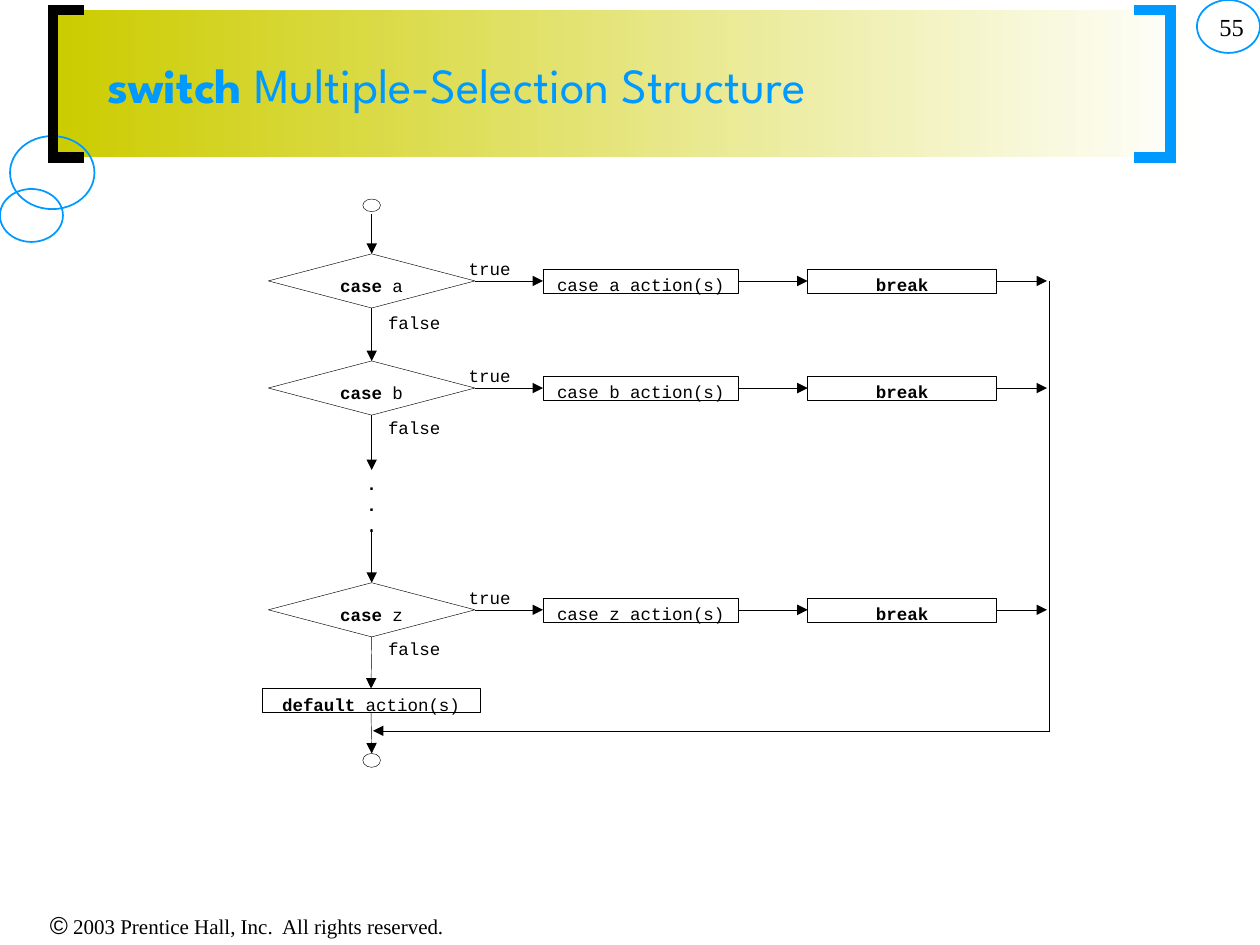
"""Build a slide with the flowchart of the switch multiple-selection structure."""
import pptx
import pptx.dml.color
import pptx.enum.shapes
import pptx.enum.text
import pptx.oxml.ns
import pptx.util
from lxml import etree

Inches = pptx.util.Inches
MSO = pptx.enum.shapes.MSO_SHAPE
ALIGN = pptx.enum.text.PP_ALIGN
ANCHOR = pptx.enum.text.MSO_ANCHOR
BLACK = pptx.dml.color.RGBColor(0x00, 0x00, 0x00)
WHITE = pptx.dml.color.RGBColor(0xFF, 0xFF, 0xFF)
BLUE = pptx.dml.color.RGBColor(0x00, 0x99, 0xFF)
OLIVE = pptx.dml.color.RGBColor(0xCC, 0xCC, 0x00)

TOP, LEFT, BOTTOM, RIGHT = range(4)
AXIS, RAIL = 2.95, 8.33
CODE = {"name": "Courier New", "size": pptx.util.Pt(10), "bold": False}
BOLD = {**CODE, "bold": True}
TITLE = {"name": "League Spartan", "size": pptx.util.Pt(28), "bold": False}
SERIF = {"name": "Times New Roman", "size": pptx.util.Pt(12)}
CASES = [("a", 2.23, 2.48), ("b", 3.08, 3.31), ("z", 4.84, 5.06)]


def add_child(parent, tag, **attrs):
    """Append a drawing element to a parent element."""
    return etree.SubElement(parent, pptx.oxml.ns.qn(tag), attrs)


def write(tf, runs, align=ALIGN.LEFT, color=BLACK, new=False):
    """Write one paragraph of formatted runs."""
    p = tf.add_paragraph() if new else tf.paragraphs[0]
    p.alignment = align
    for text, font in runs:
        r = p.add_run()
        r.text = text
        for name, value in font.items():
            setattr(r.font, name, value)
        r.font.color.rgb = color


def set_frame(tf, anchor=ANCHOR.TOP, **margins):
    """Set wrapping, anchor and margins of a text frame."""
    tf.word_wrap = True
    tf.auto_size = pptx.enum.text.MSO_AUTO_SIZE.NONE
    tf.vertical_anchor = anchor
    for side, value in margins.items():
        setattr(tf, f"margin_{side}", Inches(value))


def set_line(shape, color, width):
    """Set the outline colour and width."""
    shape.line.color.rgb = color
    shape.line.width = pptx.util.Pt(width)


def add_text(s, box, runs, align=ALIGN.LEFT, margin=0.0):
    """Add a text box and return its frame."""
    tf = s.shapes.add_textbox(*map(Inches, box)).text_frame
    set_frame(tf, left=margin, right=margin, top=margin / 2, bottom=margin / 2)
    write(tf, runs, align)
    return tf


def add_ellipse(s, box, color, width):
    """Add an unfilled ellipse."""
    sp = s.shapes.add_shape(MSO.OVAL, *map(Inches, box))
    sp.shadow.inherit = False
    sp.fill.background()
    set_line(sp, color, width)
    return sp


def add_bracket(s, tip, spine, color):
    """Add a thick square bracket beside the title band."""
    points = [(spine, 0.08), (spine, 1.25), (tip, 1.25)]
    builder = s.shapes.build_freeform(Inches(tip), Inches(0.08), 1.0)
    builder.add_line_segments([tuple(map(Inches, pt)) for pt in points], close=False)
    sp = builder.convert_to_shape()
    sp.shadow.inherit = False
    sp.fill.background()
    set_line(sp, color, 6)
    add_child(sp.element.xpath(".//a:ln")[0], "a:miter", lim="800000")


def add_node(s, kind, left, mid, width, height, runs, inset):
    """Add a flowchart node centred on a height."""
    box = (left, mid - height / 2, width, height)
    sp = s.shapes.add_shape(kind, *map(Inches, box))
    sp.shadow.inherit = False
    sp.fill.solid()
    sp.fill.fore_color.rgb = WHITE
    set_line(sp, BLACK, 0.25)
    set_frame(sp.text_frame, left=0, right=0, top=inset, bottom=0)
    write(sp.text_frame, runs, ALIGN.CENTER)
    return sp


def add_action(s, left, mid, width, runs):
    """Add an action rectangle."""
    return add_node(s, MSO.RECTANGLE, left, mid, width, 0.19, runs, 0.04)


def add_arrow(s, start, end, glue_start=None, glue_end=None, head=True):
    """Add a straight line, joined to nodes where they are given."""
    kind = pptx.enum.shapes.MSO_CONNECTOR.STRAIGHT
    c = s.shapes.add_connector(kind, *map(Inches, (*start, *end)))
    if glue_start:
        c.begin_connect(*glue_start)
    if glue_end:
        c.end_connect(*glue_end)
    set_line(c, BLACK, 0.25)
    if head:
        add_child(c.element.xpath(".//a:ln")[0], "a:tailEnd", type="triangle")
    add_child(c.element.spPr, "a:effectLst")


def add_header(s):
    """Add the title band, brackets, rings and title."""
    band = s.shapes.add_shape(MSO.RECTANGLE, *map(Inches, (0.42, 0.08, 9.12, 1.17)))
    band.shadow.inherit = False
    band.line.fill.background()
    band.fill.gradient()
    band.fill.gradient_angle = 180
    for stop, color in zip(band.fill.gradient_stops, (WHITE, OLIVE)):
        stop.color.rgb = color
    for box in [(0.08, 1.08, 0.67, 0.58), (0, 1.5, 0.5, 0.42), (9.5, 0, 0.5, 0.42)]:
        add_ellipse(s, box, BLUE, 1)
    add_bracket(s, 0.67, 0.42, BLACK)
    add_bracket(s, 9, 9.29, BLUE)
    title = s.shapes.title
    title.left, title.top, title.width, title.height = map(Inches, (0.75, 0.08, 8.5, 1.17))
    set_frame(title.text_frame, ANCHOR.MIDDLE)
    runs = [("switch", {**TITLE, "bold": True}), (" Multiple-Selection Structure", TITLE)]
    write(title.text_frame, runs, color=BLUE)
    title.element.getparent().append(title.element)


def add_case(s, letter, mid, false_top):
    """Add one case row and return its diamond."""
    test = add_node(s, MSO.DIAMOND, 2.13, mid, 1.64, 0.43,
                    [("case", BOLD), (f" {letter}", CODE)], 0.06)
    action = add_action(s, 4.31, mid, 1.55, [(f"case {letter} action(s)", CODE)])
    leave = add_action(s, 6.41, mid, 1.5, [("break", BOLD)])
    add_arrow(s, (3.77, mid), (4.31, mid), (test, RIGHT), (action, LEFT))
    add_arrow(s, (5.86, mid), (6.41, mid), (action, RIGHT), (leave, LEFT))
    add_arrow(s, (7.91, mid), (RAIL - 0.02, mid), (leave, RIGHT))
    add_text(s, (3.72, mid - 0.18, 0.48, 0.21), [("true", CODE)])
    add_text(s, (3.08, false_top, 0.59, 0.21), [("false", CODE)])
    return test


def add_flowchart(s):
    """Add the case rows, the default action and the lines between them."""
    add_ellipse(s, (2.88, 1.58, 0.14, 0.1), BLACK, 0.25)
    finish = add_ellipse(s, (2.88, 5.98, 0.14, 0.11), BLACK, 0.25)
    first, second, last = [add_case(s, *case) for case in CASES]
    default = add_action(s, 2.08, 5.56, 1.73, [("default", BOLD), (" action(s)", CODE)])
    dots = add_text(s, (2.88, 3.75, 0.14, 0.52), [(".", BOLD)], ALIGN.CENTER)
    for _ in range(2):
        write(dots, [(".", BOLD)], ALIGN.CENTER, new=True)
    add_arrow(s, (AXIS, 1.7), (AXIS, 2.01), None, (first, TOP))
    add_arrow(s, (AXIS, 2.44), (AXIS, 2.86), (first, BOTTOM), (second, TOP))
    add_arrow(s, (AXIS, 3.3), (AXIS, 3.73), (second, BOTTOM))
    add_arrow(s, (AXIS, 4.2), (AXIS, 4.62), None, (last, TOP))
    add_arrow(s, (AXIS, 5.05), (AXIS, 5.47), (last, BOTTOM), (default, TOP))
    add_arrow(s, (AXIS, 5.66), (AXIS, 5.98), (default, BOTTOM), (finish, TOP))
    add_arrow(s, (RAIL, CASES[0][1]), (RAIL, 5.8), head=False)
    add_arrow(s, (RAIL, 5.8), (AXIS + 0.01, 5.8))


def main():
    """Build and save the presentation."""
    prs = pptx.Presentation()
    prs.slide_width, prs.slide_height = Inches(10), Inches(7.5)
    s = prs.slides.add_slide(prs.slide_layouts[5])
    add_header(s)
    add_flowchart(s)
    notice = [("©", {"name": "Arial", "size": pptx.util.Pt(14)}),
              (" 2003 Prentice Hall, Inc.  All rights reserved.", SERIF)]
    add_text(s, (0, 7.17, 3.92, 0.33), notice, ALIGN.CENTER, 0.1)
    number = [("55", {**SERIF, "size": pptx.util.Pt(14)})]
    add_text(s, (7.89, 0.05, 2.08, 0.5), number, ALIGN.RIGHT, 0.1)
    prs.save("out.pptx")


if __name__ == "__main__":
    main()
